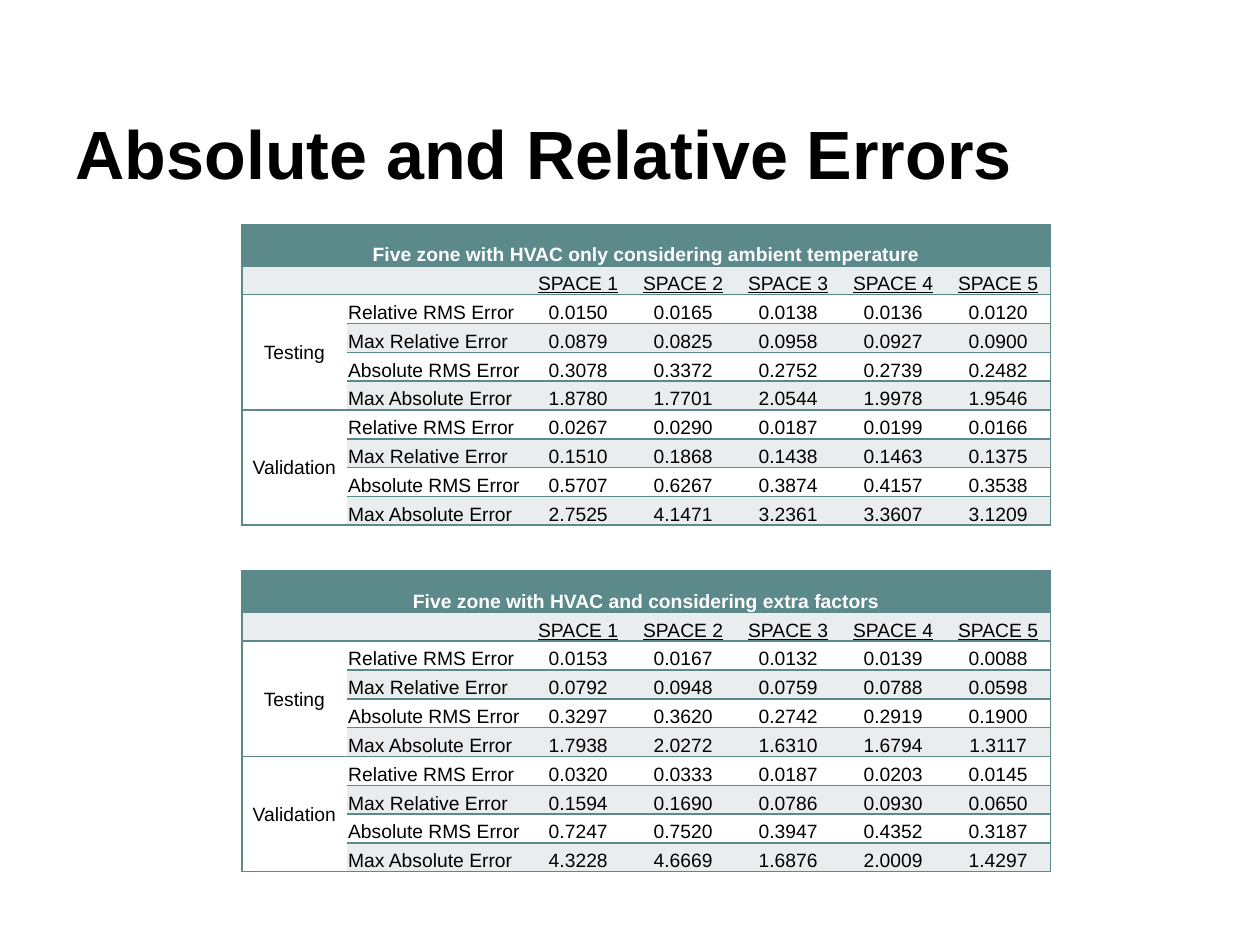
from lxml.etree import SubElement
from pptx import Presentation
from pptx.dml.color import RGBColor
from pptx.enum.text import MSO_ANCHOR, PP_ALIGN
from pptx.oxml.ns import qn
from pptx.util import Inches, Pt

TITLE = "Absolute and Relative Errors"
SPACES = [f"SPACE {n}" for n in range(1, 6)]
ERRORS = ["Relative RMS Error", "Max Relative Error",
          "Absolute RMS Error", "Max Absolute Error"]
TABLES = [
    ("Five zone with HVAC only considering ambient temperature", 1.78, {
        "Testing": ["0.0150 0.0165 0.0138 0.0136 0.0120",
                    "0.0879 0.0825 0.0958 0.0927 0.0900",
                    "0.3078 0.3372 0.2752 0.2739 0.2482",
                    "1.8780 1.7701 2.0544 1.9978 1.9546"],
        "Validation": ["0.0267 0.0290 0.0187 0.0199 0.0166",
                       "0.1510 0.1868 0.1438 0.1463 0.1375",
                       "0.5707 0.6267 0.3874 0.4157 0.3538",
                       "2.7525 4.1471 3.2361 3.3607 3.1209"]}),
    ("Five zone with HVAC and considering extra factors", 4.53, {
        "Testing": ["0.0153 0.0167 0.0132 0.0139 0.0088",
                    "0.0792 0.0948 0.0759 0.0788 0.0598",
                    "0.3297 0.3620 0.2742 0.2919 0.1900",
                    "1.7938 2.0272 1.6310 1.6794 1.3117"],
        "Validation": ["0.0320 0.0333 0.0187 0.0203 0.0145",
                       "0.1594 0.1690 0.0786 0.0930 0.0650",
                       "0.7247 0.7520 0.3947 0.4352 0.3187",
                       "4.3228 4.6669 1.6876 2.0009 1.4297"]}),
]

COLORS = {"teal": "5C8A8A", "band": "EAEDED", "white": "FFFFFF", "black": "000000"}
LEFT, WIDTH, HEIGHT = 1.92, 6.42, 2.39
HEAD, LABEL = 0.33, 1.42
PLAIN = "{2D5ABB26-0587-4C30-8999-92F81FD0307C}"  # no style, no grid
MARGINS = {"margin_left": 0.01, "margin_right": 0.01,
           "margin_top": 0.01, "margin_bottom": 0}


def color(name):
    return RGBColor.from_string(COLORS[name])


def style(para, tint, **extra):
    for key, value in {"name": "Arial", "bold": False, **extra}.items():
        setattr(para.runs[0].font, key, value)
    para.runs[0].font.color.rgb = color(tint)


def edge(cell, sides):
    """Draw the given sides, a string in the schema order LRTB."""
    for side in sides:
        line = SubElement(cell._tc.get_or_add_tcPr(), qn(f"a:ln{side}"), w=str(Pt(1)))
        fill = SubElement(line, qn("a:solidFill"))
        SubElement(fill, qn("a:srgbClr"), val=COLORS["teal"])


def build_rows(head, groups):
    rows = [[head] + [""] * 6, ["", ""] + SPACES]
    for group, lines in groups.items():
        for i, (error, line) in enumerate(zip(ERRORS, lines)):
            rows.append([group if i == 0 else "", error] + line.split())
    return rows


def fill_cell(cell, text, row, col, last):
    for key, value in MARGINS.items():
        setattr(cell, key, Inches(value))
    group = row > 1 and col == 0
    cell.vertical_anchor = MSO_ANCHOR.MIDDLE if group else MSO_ANCHOR.BOTTOM
    if not cell.is_spanned:
        left = "L" if col == 0 else ""
        right = "R" if row == 0 or col == last else ""
        edge(cell, left + right + "TB")
    cell.fill.solid()
    shade = "teal" if row == 0 else "band" if row % 2 and not group else "white"
    cell.fill.fore_color.rgb = color(shade)
    para = cell.text_frame.paragraphs[0]
    if not text:
        SubElement(para._p, qn("a:endParaRPr"), sz="1100")
        return
    para.text = text
    para.alignment = PP_ALIGN.LEFT if row > 1 and col == 1 else PP_ALIGN.CENTER
    style(para, "white" if row == 0 else "black", size=Pt(11),
          bold=row == 0, underline=row == 1)


def add_errors(slide, head, top, groups):
    rows = build_rows(head, groups)
    count, last = len(rows), len(rows[0]) - 1
    frame = slide.shapes.add_table(count, last + 1, Inches(LEFT), Inches(top),
                                   Inches(WIDTH), Inches(HEIGHT))
    table = frame.table
    table._tbl.tblPr.find(qn("a:tableStyleId")).text = PLAIN
    table.first_row = table.horz_banding = False
    for i, col in enumerate(table.columns):
        col.width = Inches(LABEL if i == 1 else (WIDTH - LABEL) / last)
    for i, row in enumerate(table.rows):
        row.height = Inches(HEAD if i == 0 else (HEIGHT - HEAD) / (count - 1))
    table.cell(0, 0).merge(table.cell(0, last))
    for start in range(2, count, len(ERRORS)):
        table.cell(start, 0).merge(table.cell(start + len(ERRORS) - 1, 0))
    for r, row in enumerate(rows):
        for c, text in enumerate(row):
            fill_cell(table.cell(r, c), text, r, c, last)


def main():
    deck = Presentation()
    deck.slide_width, deck.slide_height = Inches(10), Inches(7.5)
    slide = deck.slides.add_slide(deck.slide_layouts[5])
    title = slide.shapes.title
    place = {"left": 0.5, "top": 0.75, "width": 9, "height": 0.83}
    for key, value in place.items():
        setattr(title, key, Inches(value))
    title.text_frame.text = TITLE
    title.text_frame.vertical_anchor = MSO_ANCHOR.BOTTOM
    para = title.text_frame.paragraphs[0]
    para.alignment = PP_ALIGN.LEFT
    style(para, "black", size=Pt(39), bold=True)
    for head, top, groups in TABLES:
        add_errors(slide, head, top, groups)
    deck.save("out.pptx")


if __name__ == "__main__":
    main()
